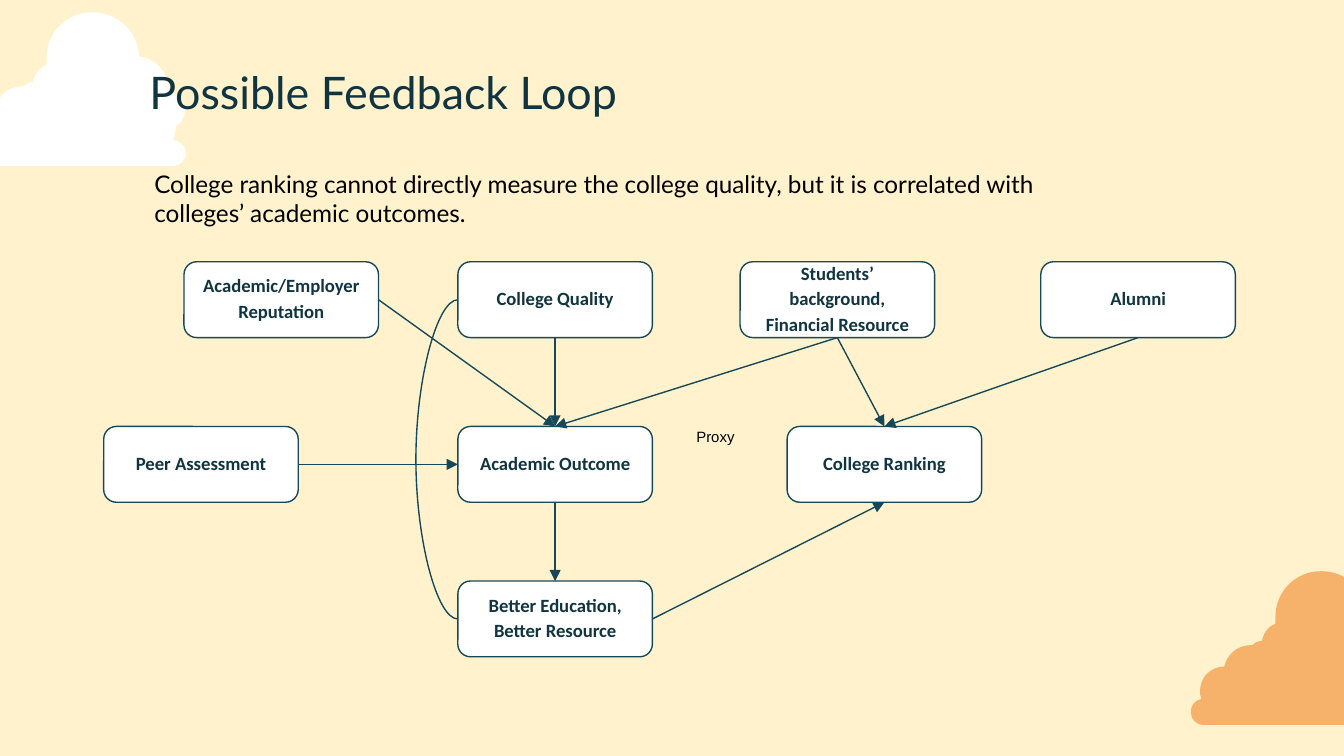
from dataclasses import dataclass

from lxml import etree
from pptx import Presentation
from pptx import util as u
from pptx.dml.color import RGBColor
from pptx.enum import shapes, text
from pptx.oxml import ns


@dataclass(frozen=True)
class Theme:
    sky: str = "FFF2CC"
    white: str = "FFFFFF"
    orange: str = "F6B26B"
    outline: str = "174859"
    ink: str = "103440"
    black: str = "000000"
    heading_font: str = "Lato"
    node_font: str = "Calibri"
    proxy_font: str = "Arial"
    title_size: float = 24
    intro_size: float = 13
    node_size: float = 10
    proxy_size: float = 8
    line_width: float = 0.75


THEME = Theme()
TOP, LEFT, BOTTOM, RIGHT = range(4)
NODE_WIDTH, NODE_HEIGHT = 104.2, 40.6
INSET = 7.2
ROWS = (140.3, 228.5, 311.3)
CENTRE_COLUMN = 245.3

# Nodes of the loop: key -> (label, left, top)
NODES = {
    "reputation": ("Academic/Employer Reputation", 98.6, ROWS[0]),
    "quality": ("College Quality", CENTRE_COLUMN, ROWS[0]),
    "outcome": ("Academic Outcome", CENTRE_COLUMN, ROWS[1]),
    "peers": ("Peer Assessment", 55.6, ROWS[1]),
    "students": ("Students’ background, Financial Resource", 396.5, ROWS[0]),
    "alumni": ("Alumni", 557.6, ROWS[0]),
    "resource": ("Better Education,\nBetter Resource", CENTRE_COLUMN, ROWS[2]),
    "ranking": ("College Ranking", 421.7, ROWS[1]),
}

# Arrows: (from node, side, to node, side)
ARROWS = [
    ("reputation", RIGHT, "outcome", TOP),
    ("quality", BOTTOM, "outcome", TOP),
    ("students", BOTTOM, "outcome", TOP),
    ("students", BOTTOM, "ranking", TOP),
    ("alumni", BOTTOM, "ranking", TOP),
    ("resource", RIGHT, "ranking", BOTTOM),
    ("outcome", BOTTOM, "resource", TOP),
    ("peers", RIGHT, "outcome", LEFT),
]

# Cloud outline: a start, then Bezier curves (two handles and an end) or a line end
CLOUD_START = (69.8, 0)
CLOUD_SEGMENTS = [
    [(56.2, 0), (45.4, 10.8), (45.4, 24.5)],
    [(45.4, 25.9), (45.4, 27.4), (45.4, 28.1)],
    [(41.8, 29.5), (38.9, 33.1), (38.2, 37.4)],
    [(36, 37.4), (34.6, 38.2), (33.1, 39.6)],
    [(33.1, 39.6), (32.4, 39.6), (32.4, 39.6)],
    [(25.2, 39.6), (19.4, 44.6), (18, 51.1)],
    [(10.8, 51.1), (5, 56.9), (5, 64.1)],
    [(5, 65.5), (5, 67), (5.8, 68.4)],
    [(2.2, 69.1), (0, 72), (0, 75.6)],
    [(0, 79.2), (2.9, 82.4), (7.2, 82.4)],
    [(113, 82.4)],
    [(116.6, 82.4), (120.2, 79.2), (120.2, 75.6)],
    [(120.2, 72), (116.6, 68.4), (113, 68.4)],
    [(113, 68.4)],
    [(113.8, 67), (114.5, 65.5), (114.5, 63.4)],
    [(114.5, 62.6), (114.5, 61.9), (114.5, 61.2)],
    [(117.4, 59.8), (119.5, 56.2), (119.5, 52.6)],
    [(119.5, 47.5), (115.9, 43.2), (110.9, 42.5)],
    [(110.9, 42.5), (110.9, 41.8), (110.9, 41.8)],
    [(110.9, 32.4), (103.7, 24.5), (95, 23.8)],
    [(94.3, 10.1), (83.5, 0), CLOUD_START],
]


def rgb(value):
    return RGBColor.from_string(value)


def add_cloud(slide, left, top, color):
    segments = [[(u.Pt(x), u.Pt(y)) for x, y in segment] for segment in CLOUD_SEGMENTS]
    builder = slide.shapes.build_freeform(*map(u.Pt, CLOUD_START))
    builder.add_line_segments([segment[-1] for segment in segments], close=True)
    cloud = builder.convert_to_shape(u.Pt(left), u.Pt(top))
    # Give each curved segment its two handles
    lines = list(cloud._element.iter(ns.qn("a:lnTo")))
    for line, segment in zip(lines, segments):
        if len(segment) == 3:
            curve = etree.Element(ns.qn("a:cubicBezTo"))
            for x, y in segment:
                etree.SubElement(curve, ns.qn("a:pt"), x=str(x), y=str(y))
            line.getparent().replace(line, curve)
    cloud.shadow.inherit = False
    cloud.fill.solid()
    cloud.fill.fore_color.rgb = rgb(color)
    cloud.line.fill.background()


def set_text(frame, words, font, size, color, bold=False, spacing=None,
             align=text.PP_ALIGN.LEFT, margins=(0, 0)):
    frame.word_wrap = True
    frame.margin_left = frame.margin_right = u.Pt(INSET)
    frame.margin_top, frame.margin_bottom = map(u.Pt, margins)
    frame.text = words
    for paragraph in frame.paragraphs:
        paragraph.alignment = align
        paragraph.line_spacing = spacing
        for run in paragraph.runs:
            run.font.name, run.font.size, run.font.bold = font, u.Pt(size), bold
            run.font.color.rgb = rgb(color)


def add_text(slide, words, box, size, color):
    frame = slide.shapes.add_textbox(*map(u.Pt, box)).text_frame
    set_text(frame, words, THEME.heading_font, size, color, margins=(INSET, INSET))


def add_rounded_box(slide, box, fill, outline):
    rounded = slide.shapes.add_shape(shapes.MSO_SHAPE.ROUNDED_RECTANGLE, *map(u.Pt, box))
    rounded.shadow.inherit = False
    rounded.fill.solid()
    rounded.fill.fore_color.rgb = rgb(fill)
    rounded.line.color.rgb = rgb(outline)
    rounded.line.width = u.Pt(THEME.line_width)
    rounded.text_frame.vertical_anchor = text.MSO_ANCHOR.MIDDLE
    return rounded


def add_node(slide, label, left, top):
    node = add_rounded_box(slide, (left, top, NODE_WIDTH, NODE_HEIGHT),
                           THEME.white, THEME.outline)
    set_text(node.text_frame, label, THEME.node_font, THEME.node_size, THEME.ink,
             bold=True, spacing=1.15, align=text.PP_ALIGN.CENTER, margins=(0, 3.2))
    return node


def add_link(slide, kind, source, source_side, target, target_side, arrow=True):
    link = slide.shapes.add_connector(kind, 0, 0, 0, 0)
    link.begin_connect(source, source_side)
    link.end_connect(target, target_side)
    link.line.color.rgb = rgb(THEME.outline)
    link.line.width = u.Pt(THEME.line_width)
    properties = link._element.spPr
    if arrow:
        etree.SubElement(properties.find(ns.qn("a:ln")), ns.qn("a:tailEnd"), type="triangle")
    etree.SubElement(properties, ns.qn("a:effectLst"))
    return link


def add_feedback_curve(slide, source, target, bulge=19.8, span=0.05):
    curve = add_link(slide, shapes.MSO_CONNECTOR.CURVE, source, LEFT, target, LEFT, arrow=False)
    # The bulge is a multiple of the curve's width, so the width must not be zero
    curve.width = u.Pt(span)
    properties = curve._element.spPr
    frame = properties.find(ns.qn("a:xfrm"))
    frame.attrib.pop("flipV", None)
    frame.set("rot", "10800000")
    frame.set("flipH", "1")
    geometry = properties.find(ns.qn("a:prstGeom"))
    adjustments = geometry.find(ns.qn("a:avLst"))
    if adjustments is None:
        adjustments = etree.SubElement(geometry, ns.qn("a:avLst"))
    etree.SubElement(adjustments, ns.qn("a:gd"), name="adj1",
                     fmla=f"val {round(-bulge / span * 100000)}")


def main():
    deck = Presentation()
    deck.slide_width, deck.slide_height = u.Pt(720), u.Pt(405)
    slide = deck.slides.add_slide(deck.slide_layouts[6])
    slide.background.fill.solid()
    slide.background.fill.fore_color.rgb = rgb(THEME.sky)

    # Clouds
    add_cloud(slide, 637.9, 306, THEME.orange)
    add_cloud(slide, -20.4, 6.6, THEME.white)

    # Nodes and the proxy label
    nodes = {key: add_node(slide, *node) for key, node in NODES.items()}
    proxy = add_rounded_box(slide, (365.2, 226, 38.2, 15.8), THEME.sky, THEME.sky)
    set_text(proxy.text_frame, "Proxy", THEME.proxy_font, THEME.proxy_size, THEME.black)

    # Arrows and the feedback curve
    for source, source_side, target, target_side in ARROWS:
        add_link(slide, shapes.MSO_CONNECTOR.STRAIGHT,
                 nodes[source], source_side, nodes[target], target_side)
    add_feedback_curve(slide, nodes["resource"], nodes["quality"])

    # Heading and introduction
    add_text(slide, "College ranking cannot directly measure the college quality, but it is "
             "correlated with colleges’ academic outcomes.",
             (75.6, 83.5, 512.6, 46), THEME.intro_size, THEME.black)
    add_text(slide, "Possible Feedback Loop", (73, 27.4, 671.8, 45.4),
             THEME.title_size, THEME.ink)

    deck.save("out.pptx")


if __name__ == "__main__":
    main()
